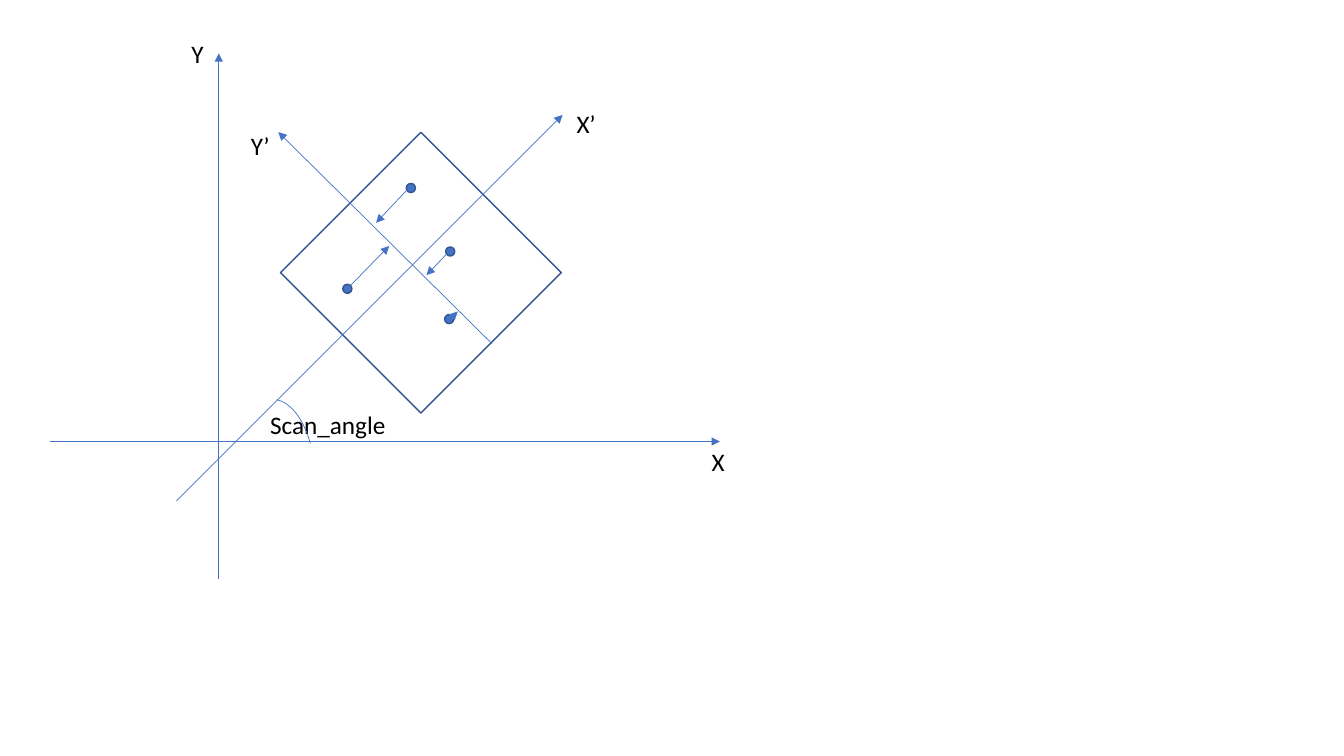
"""Draw a scan frame rotated against the X and Y axes, with points projected onto Y’."""
from lxml import etree
from pptx import Presentation
from pptx.dml.color import RGBColor
from pptx.enum import shapes, text
from pptx.oxml import ns
from pptx.util import Inches, Pt

BLUE, DARK_BLUE, BLACK = "4472C4", "325491", "000000"
DOT = 0.09

prs = Presentation()
prs.slide_width, prs.slide_height = Inches(13.33), Inches(7.5)
s = prs.slides.add_slide(prs.slide_layouts[6])


def color(fmt, value):
    fmt.rgb = RGBColor.from_string(value)


def add_text(content, x, y, w, h=0.4, size=18, font="Calibri", fill=BLACK):
    tf = s.shapes.add_textbox(Inches(x), Inches(y), Inches(w), Inches(h)).text_frame
    tf.word_wrap = False
    tf.auto_size = text.MSO_AUTO_SIZE.SHAPE_TO_FIT_TEXT
    r = tf.paragraphs[0].add_run()
    r.text = content
    r.font.size, r.font.name = Pt(size), font
    color(r.font.color, fill)


for label, x, y, w in [
    ("Y", 1.8, 0.33, 0.32),
    ("X", 6.96, 4.38, 0.33),
    ("X’", 5.62, 1.03, 0.39),
    ("Scan_angle", 2.58, 4.01, 1.36),
    ("Y’", 2.39, 1.24, 0.39),
]:
    add_text(label, x, y, w)

arc = s.shapes.add_shape(shapes.MSO_SHAPE.ARC, Inches(2.26), Inches(3.96), Inches(0.87), Inches(1.66))
arc.adjustments[0], arc.adjustments[1] = 164.06, 188.7
frame = s.shapes.add_shape(shapes.MSO_SHAPE.RECTANGLE, Inches(3.19), Inches(1.72), Inches(1.97), Inches(1.97))
frame.rotation = 315
for sp, line_color, width in [(arc, BLUE, 0.5), (frame, DARK_BLUE, 1)]:
    sp.shadow.inherit = False
    sp.fill.background()
    color(sp.line.color, line_color)
    sp.line.width = Pt(width)

for x, y in [(4.42, 2.45), (4.41, 3.12), (4.03, 1.82), (3.4, 2.82)]:
    dot = s.shapes.add_shape(shapes.MSO_SHAPE.OVAL, Inches(x), Inches(y), Inches(DOT), Inches(DOT))
    dot.shadow.inherit = False
    dot.fill.solid()
    color(dot.fill.fore_color, BLUE)
    color(dot.line.color, DARK_BLUE)
    dot.line.width = Pt(1)

axes = [
    (2.17, 5.74, 2.17, 0.53),
    (0.5, 4.38, 7.14, 4.38),
    (4.88, 3.41, 2.76, 1.31),
    (1.75, 4.97, 5.58, 1.14),
]
projections = [
    (4.46, 3.17, 4.54, 3.09),
    (3.44, 2.87, 3.86, 2.44),
    (4.43, 2.52, 4.23, 2.73),
    (4.05, 1.87, 3.73, 2.21),
]
for points in axes + projections:
    arrow = s.shapes.add_connector(shapes.MSO_CONNECTOR.STRAIGHT, *map(Inches, points))
    color(arrow.line.color, BLUE)
    arrow.line.width = Pt(0.5)
    etree.SubElement(arrow.line._get_or_add_ln(), ns.qn("a:tailEnd"), type="triangle")
    etree.SubElement(arrow._element.spPr, ns.qn("a:effectLst"))

prs.save("out.pptx")
